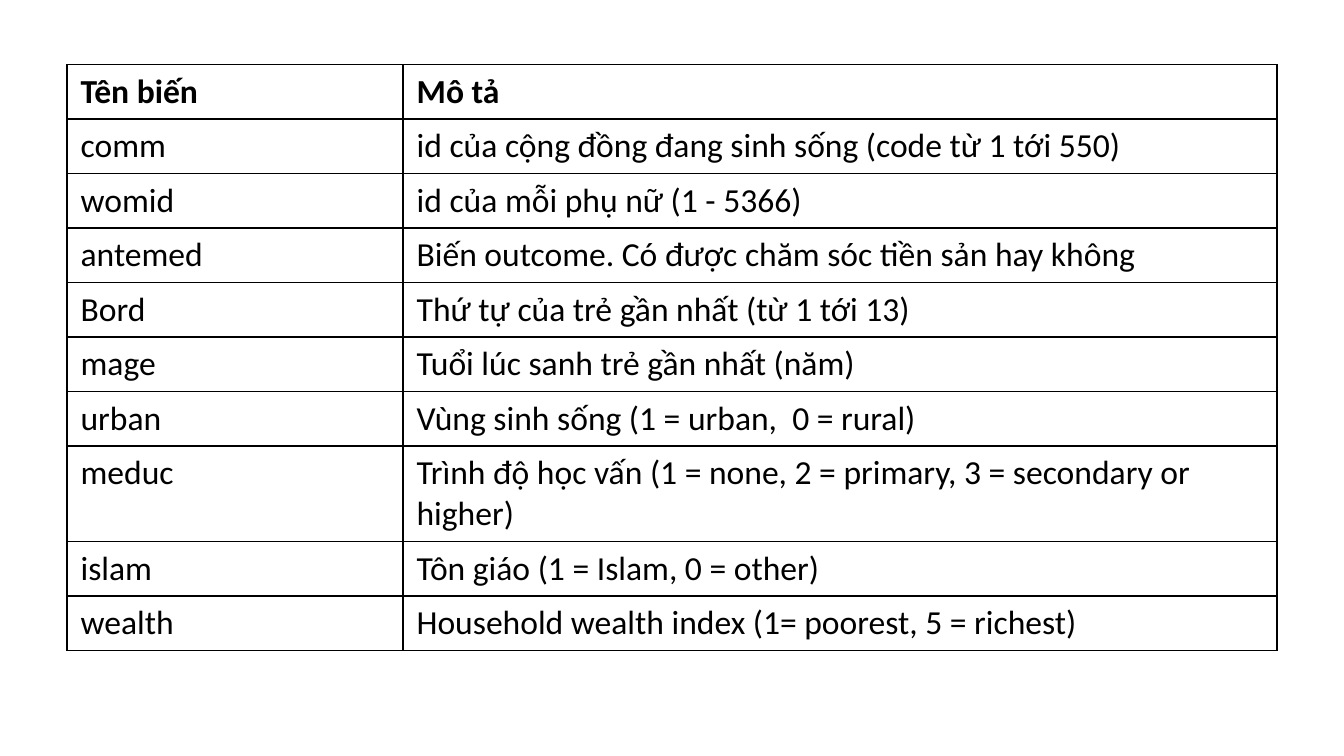
from dataclasses import dataclass

from lxml import etree
from pptx import Presentation
from pptx.dml.color import RGBColor
from pptx.oxml.ns import qn
from pptx.util import Pt

BLANK = 6
BORDER_SIDES = ("a:lnL", "a:lnR", "a:lnT", "a:lnB")


@dataclass(frozen=True)
class Theme:
    font: str = "Calibri"
    body_size: float = 18
    ink: str = "000000"
    border_width: float = 1


class Deck:
    def __init__(self, theme, width, height):
        self.theme = theme
        self.prs = Presentation()
        self.prs.slide_width, self.prs.slide_height = Pt(width), Pt(height)
        self.s = None

    def add_slide(self):
        self.s = self.prs.slides.add_slide(self.prs.slide_layouts[BLANK])

    def text(self, tf, text, **extra):
        r = tf.paragraphs[0].add_run()
        r.text = text
        style = {"name": self.theme.font, "size": Pt(self.theme.body_size), **extra}
        for key, value in style.items():
            setattr(r.font, key, value)
        r.font.color.rgb = RGBColor.from_string(self.theme.ink)

    def borders(self, cell):
        tc_pr = cell._tc.get_or_add_tcPr()
        for side in BORDER_SIDES:
            ln = etree.SubElement(tc_pr, qn(side), w=str(Pt(self.theme.border_width)))
            fill = etree.SubElement(ln, qn("a:solidFill"))
            etree.SubElement(fill, qn("a:srgbClr"), val=self.theme.ink)

    def table(self, rows, left, top, col_widths, row_height):
        sp = self.s.shapes.add_table(
            len(rows), len(col_widths), Pt(left), Pt(top),
            Pt(sum(col_widths)), Pt(row_height * len(rows)))
        tbl = sp.table
        tbl.horz_banding = False
        for col, width in zip(tbl.columns, col_widths):
            col.width = Pt(width)
        for i, values in enumerate(rows):
            tbl.rows[i].height = Pt(row_height)
            for j, value in enumerate(values):
                cell = tbl.cell(i, j)
                self.borders(cell)
                cell.fill.background()
                self.text(cell.text_frame, value, bold=i == 0)


# Variable names and their descriptions, header first
VARIABLES = [
    ("Tên biến", "Mô tả"),
    ("comm", "id của cộng đồng đang sinh sống (code từ 1 tới 550)"),
    ("womid", "id của mỗi phụ nữ (1 - 5366)"),
    ("antemed", "Biến outcome. Có được chăm sóc tiền sản hay không"),
    ("Bord", "Thứ tự của trẻ gần nhất (từ 1 tới 13)"),
    ("mage", "Tuổi lúc sanh trẻ gần nhất (năm)"),
    ("urban", "Vùng sinh sống (1 = urban,  0 = rural)"),
    ("meduc", "Trình độ học vấn (1 = none, 2 = primary, 3 = secondary or higher)"),
    ("islam", "Tôn giáo (1 = Islam, 0 = other)"),
    ("wealth", "Household wealth index (1= poorest, 5 = richest)"),
]

# Slide with the variable table
deck = Deck(Theme(), 720, 405)
deck.add_slide()
deck.table(VARIABLES, left=36, top=34.6, col_widths=(180, 468), row_height=29.2)
deck.prs.save("out.pptx")
